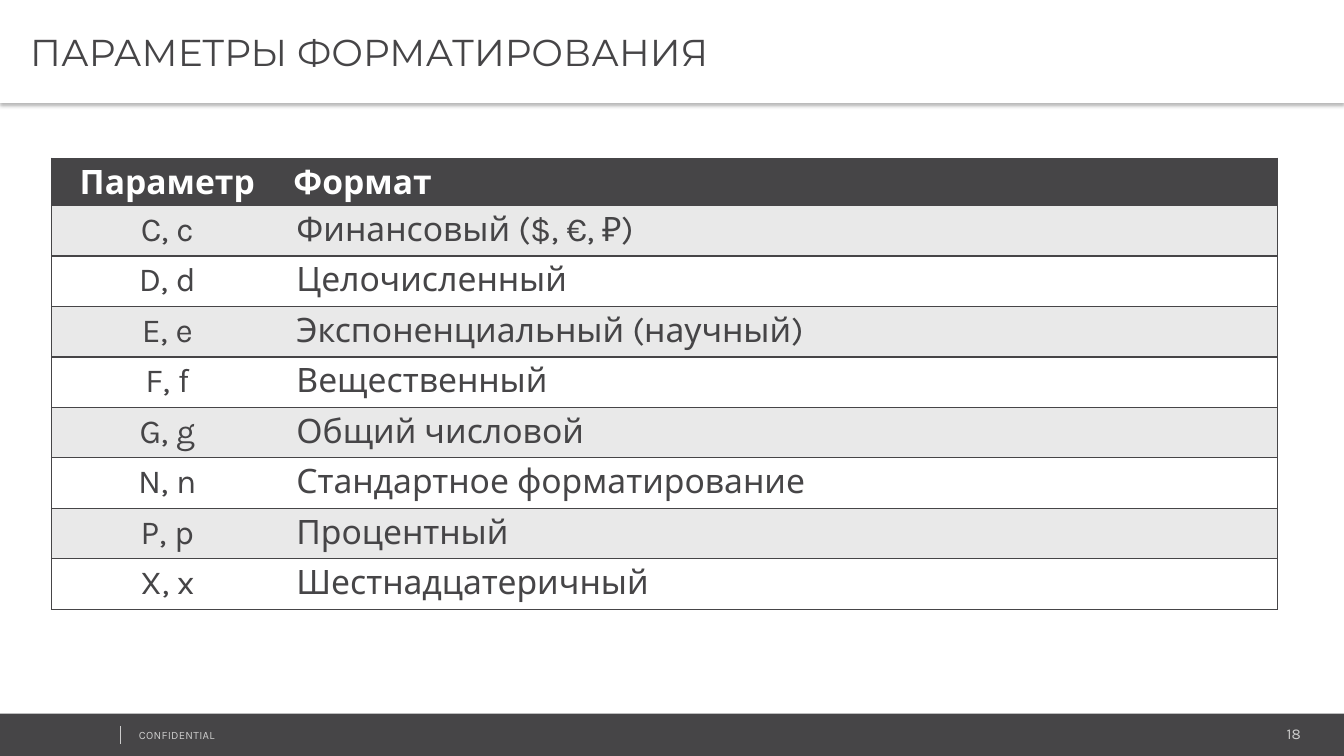
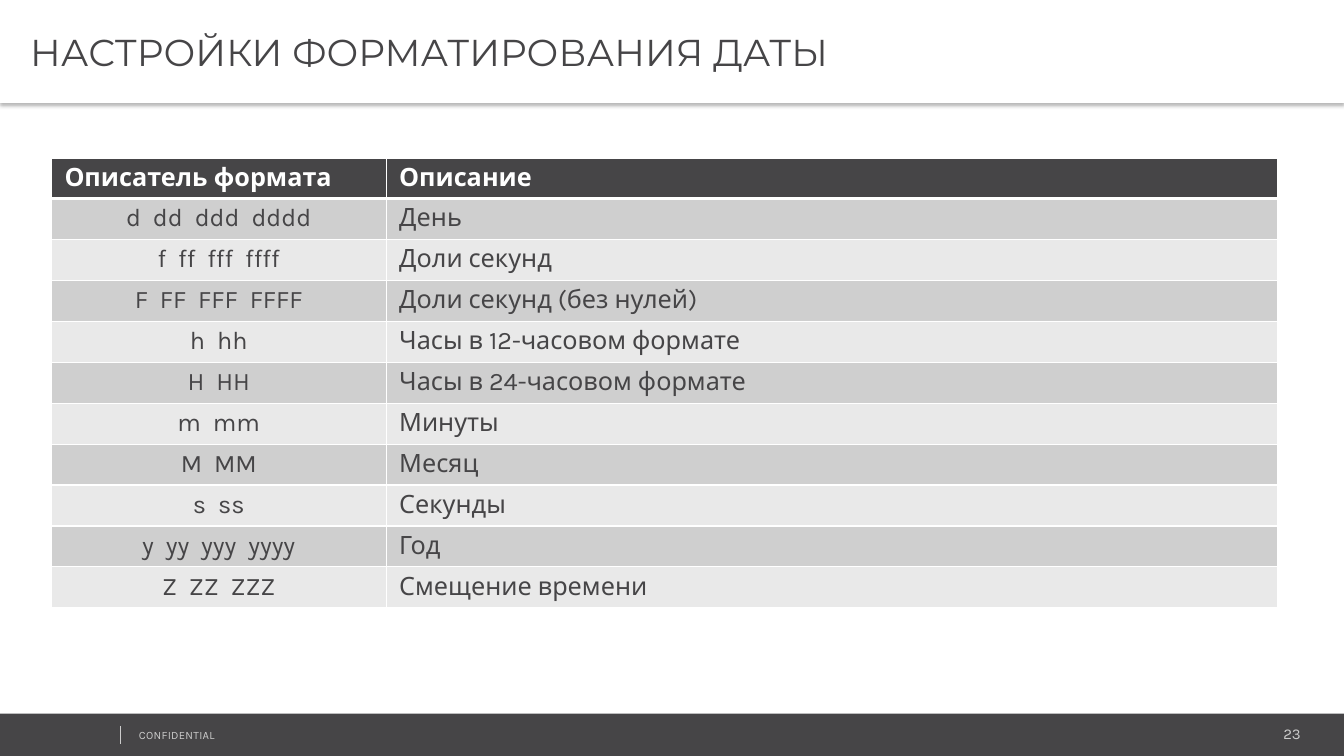
import pptx
import pptx.util
import pptx.dml.color
import pptx.enum.shapes
import pptx.enum.text
import pptx.oxml
import pptx.oxml.ns

Inches = pptx.util.Inches
Pt = pptx.util.Pt
ALIGN = pptx.enum.text.PP_ALIGN
ANCHOR = pptx.enum.text.MSO_ANCHOR
AUTO_SIZE = pptx.enum.text.MSO_AUTO_SIZE

DARK, WHITE, MUTED = "464547", "FFFFFF", "CCCCCC"
PALE, GREY = "E9E9E9", "CFCFCF"
BODY_FONT, TITLE_FONT = "Karla", "Montserrat"
SLIDE_WIDTH, SLIDE_HEIGHT = 13.33, 7.5
TABLE_LEFT, TABLE_TOP = 0.51, 1.57

FORMATS = [
    ("Параметр", "Формат"),
    ("C, c", "Финансовый ($, €, ₽)"),
    ("D, d", "Целочисленный"),
    ("E, e", "Экспоненциальный (научный)"),
    ("F, f", "Вещественный"),
    ("G, g", "Общий числовой"),
    ("N, n", "Стандартное форматирование"),
    ("P, p", "Процентный"),
    ("X, x", "Шестнадцатеричный"),
]

DATE_FORMATS = [
    ("Описатель формата", "Описание"),
    ("d  dd  ddd  dddd", "День"),
    ("f  ff  fff  ffff", "Доли секунд"),
    ("F  FF  FFF  FFFF", "Доли секунд (без нулей)"),
    ("h  hh", "Часы в 12-часовом формате"),
    ("H  HH", "Часы в 24-часовом формате"),
    ("m  mm", "Минуты"),
    ("M  MM", "Месяц"),
    ("s  ss", "Секунды"),
    ("y  yy  yyy  yyyy", "Год"),
    ("Z  ZZ  ZZZ", "Смещение времени"),
]


def rgb(value):
    return pptx.dml.color.RGBColor.from_string(value)


def apply_format(target, values):
    for attribute, value in values.items():
        setattr(target, attribute, value)


def margins(left, top, right, bottom):
    return {"margin_left": Inches(left), "margin_top": Inches(top),
            "margin_right": Inches(right), "margin_bottom": Inches(bottom)}


def paint(shape, color):
    """Fill a shape with one colour and take off its outline."""
    shape.fill.solid()
    shape.fill.fore_color.rgb = rgb(color)
    shape.line.fill.background()


def write(frame, text, size, color, font=BODY_FONT, bold=False, **paragraph_format):
    """Put one formatted run in a text frame and return it."""
    paragraph = frame.paragraphs[0]
    apply_format(paragraph, paragraph_format)
    run = paragraph.add_run()
    run.text = text
    apply_format(run.font, {"name": font, "size": Pt(size), "bold": bold})
    run.font.color.rgb = rgb(color)
    return run


def add_effects(shape, content=""):
    namespace = pptx.oxml.ns.nsdecls("a")
    shape._element.spPr.append(pptx.oxml.parse_xml(
        f"<a:effectLst {namespace}>{content}</a:effectLst>"))


def add_title(slide, text):
    title = slide.shapes.title
    apply_format(title, {"left": 0, "top": 0, "width": Inches(SLIDE_WIDTH),
                         "height": Inches(1.02)})
    paint(title, WHITE)
    add_effects(title, f'<a:outerShdw blurRad="{Pt(3.1)}" dist="{Pt(2)}" dir="5400000">'
                       '<a:srgbClr val="000000"><a:alpha val="30000"/></a:srgbClr>'
                       '</a:outerShdw>')
    apply_format(title.text_frame, {
        "word_wrap": True, "auto_size": AUTO_SIZE.NONE,
        "vertical_anchor": ANCHOR.MIDDLE, **margins(0.3, 0.04, 0.07, 0.04)})
    write(title.text_frame, text, 26.7, DARK, TITLE_FONT, alignment=ALIGN.LEFT)


def add_label(slide, text, left, top, width, height, size, alignment):
    box = slide.shapes.add_textbox(*map(Inches, (left, top, width, height)))
    apply_format(box.text_frame, {"word_wrap": True,
                                  "auto_size": AUTO_SIZE.SHAPE_TO_FIT_TEXT})
    return write(box.text_frame, text, size, MUTED, alignment=alignment)


def add_footer(slide, number):
    band = slide.shapes.add_shape(
        pptx.enum.shapes.MSO_SHAPE.RECTANGLE,
        *map(Inches, (0, 7.08, 13.35, 0.43)))
    band.shadow.inherit = False
    paint(band, DARK)
    add_label(slide, str(number), 10.82, 7.14, 2.18, 0.28, 10.7, ALIGN.RIGHT)
    notice = add_label(slide, "CONFIDENTIAL", 1.28, 7.18, 3.38, 0.24, 8, ALIGN.LEFT)
    notice.font._element.set("spc", "20")
    divider = slide.shapes.add_connector(
        pptx.enum.shapes.MSO_CONNECTOR.STRAIGHT,
        *map(Inches, (1.19, 7.2, 1.19, 7.38)))
    divider.line.color.rgb = rgb(MUTED)
    divider.line.width = Pt(0.25)
    add_effects(divider)


def set_borders(cell, color, widths):
    """Draw the sides named in widths (points); the other sides get no line."""
    properties = cell._tc.get_or_add_tcPr()
    namespace = pptx.oxml.ns.nsdecls("a")
    for side in "LRTB":
        width = widths.get(side, 0)
        paint_xml = (f'<a:solidFill><a:srgbClr val="{color}"/></a:solidFill>'
                     if width else "<a:noFill/>")
        properties.append(pptx.oxml.parse_xml(
            f'<a:ln{side} {namespace} w="{Pt(width)}">{paint_xml}</a:ln{side}>'))


def add_table(slide, rows, column_widths, header_height, height, size, bands,
              border_color, border_widths, header_aligns, header_spacing=1.0,
              header_margins=(0.13, 0.05, 0.13, 0.05)):
    """Add a two-column table; border_widths(row, column) gives a cell's sides."""
    table = slide.shapes.add_table(
        len(rows), len(column_widths), Inches(TABLE_LEFT), Inches(TABLE_TOP),
        Inches(sum(column_widths)), Inches(height)).table
    table.horz_banding = False
    for column, width in zip(table.columns, column_widths):
        column.width = Inches(width)
    row_height = (height - header_height) / (len(rows) - 1)
    for r, texts in enumerate(rows):
        is_header = r == 0
        table.rows[r].height = Inches(header_height if is_header else row_height)
        aligns = header_aligns if is_header else (ALIGN.CENTER, ALIGN.LEFT)
        for c, text in enumerate(texts):
            cell = table.cell(r, c)
            apply_format(cell, margins(*header_margins) if is_header
                         else margins(0.13, 0.05, 0.13, 0.05))
            set_borders(cell, border_color, border_widths(r, c))
            cell.fill.solid()
            cell.fill.fore_color.rgb = rgb(DARK if is_header else bands[(r - 1) % 2])
            write(cell.text_frame, text, size, WHITE if is_header else DARK,
                  bold=is_header, alignment=aligns[c],
                  line_spacing=header_spacing if is_header else 1.0)


def outline_borders(row, column):
    return {"LR"[column]: 1, "T": 1, "B": 1}


def grid_borders(row, column):
    return {"L": 1, "R": 1, "T": 3 if row == 1 else 1, "B": 3 if row == 0 else 1}


def add_slide(presentation, title, number):
    slide = presentation.slides.add_slide(presentation.slide_layouts[5])
    add_title(slide, title)
    add_footer(slide, number)
    return slide


def main():
    presentation = pptx.Presentation()
    presentation.slide_width = Inches(SLIDE_WIDTH)
    presentation.slide_height = Inches(SLIDE_HEIGHT)

    parameters = add_slide(presentation, "ПАРАМЕТРЫ ФОРМАТИРОВАНИЯ", 18)
    add_table(parameters, FORMATS, (2.3, 9.86), header_height=0.47, height=4.47,
              size=24, bands=(PALE, WHITE), border_color=DARK,
              border_widths=outline_borders,
              header_aligns=(ALIGN.CENTER, ALIGN.JUSTIFY), header_spacing=1.15,
              header_margins=(0.1, 0, 0.1, 0))

    dates = add_slide(presentation, "НАСТРОЙКИ ФОРМАТИРОВАНИЯ ДАТЫ", 23)
    add_table(dates, DATE_FORMATS, (3.32, 8.84), header_height=0.4, height=4.46,
              size=18, bands=(GREY, PALE), border_color=WHITE,
              border_widths=grid_borders, header_aligns=(ALIGN.LEFT, ALIGN.LEFT))

    presentation.save("out.pptx")


if __name__ == "__main__":
    main()
